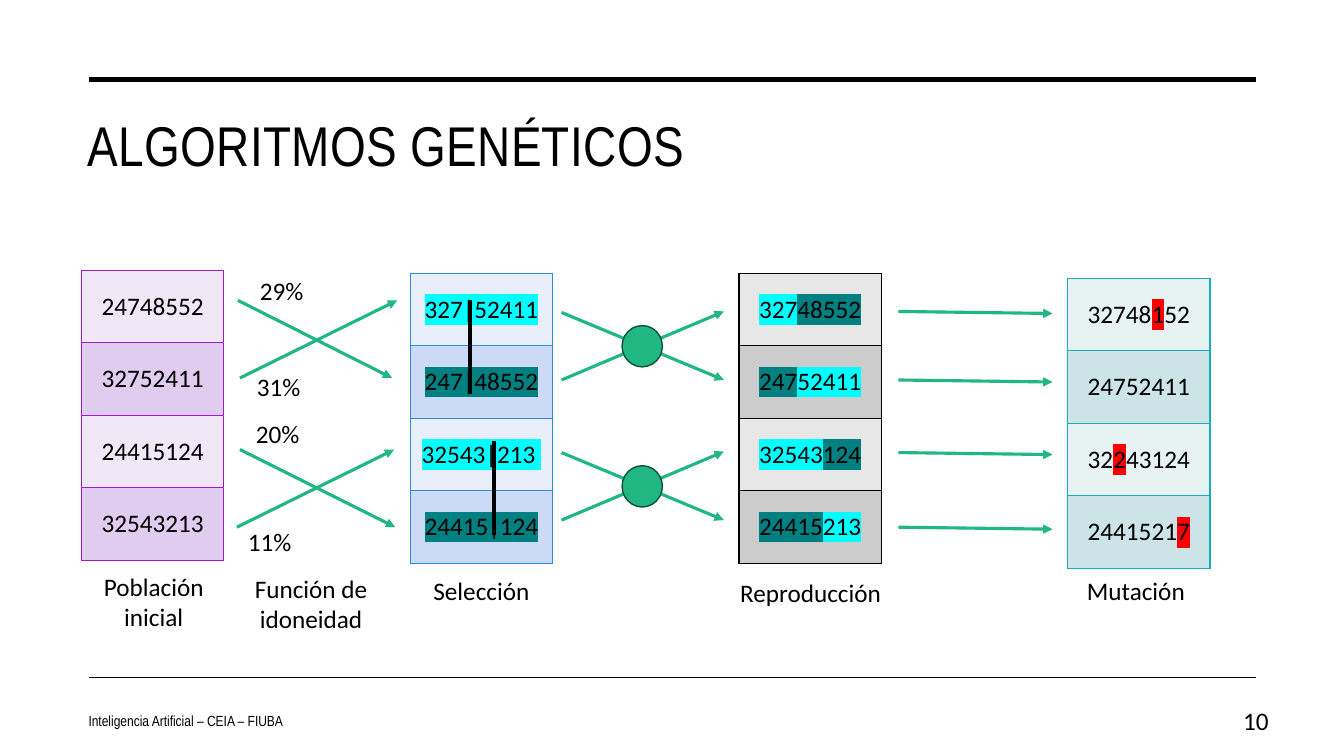
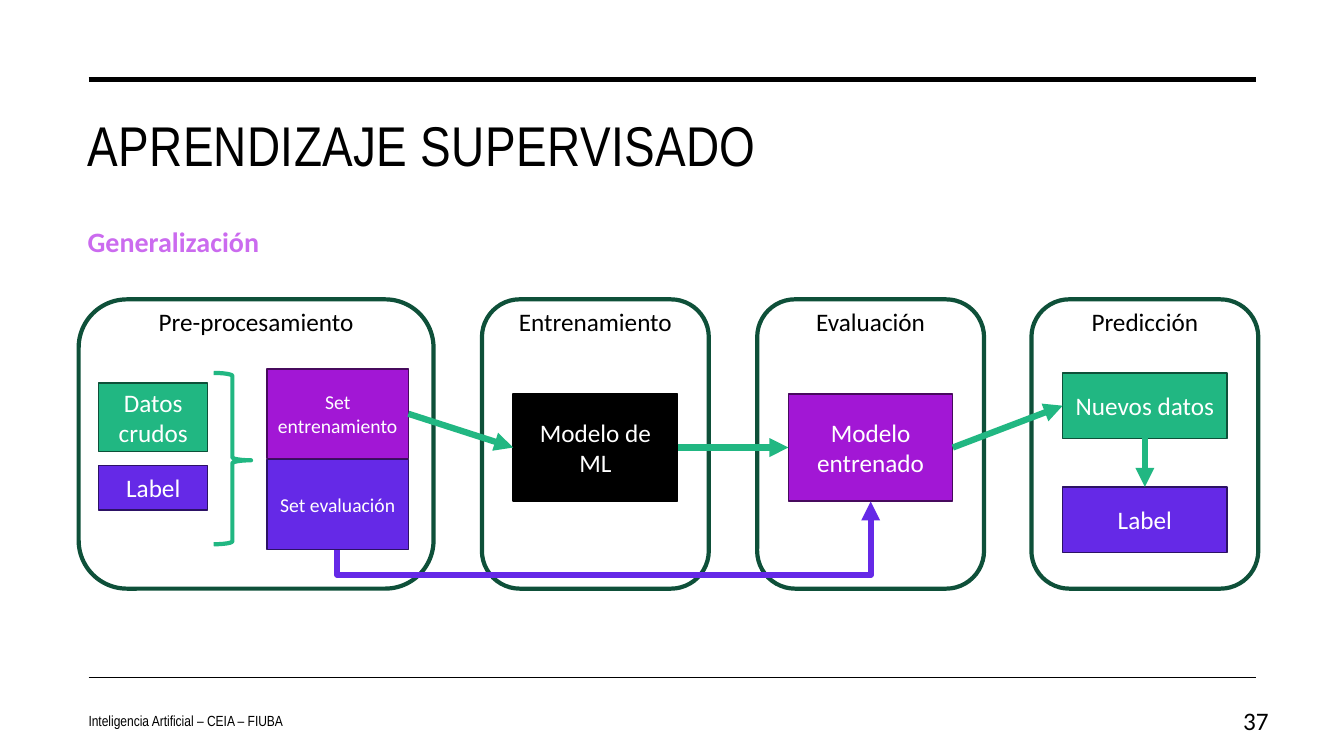
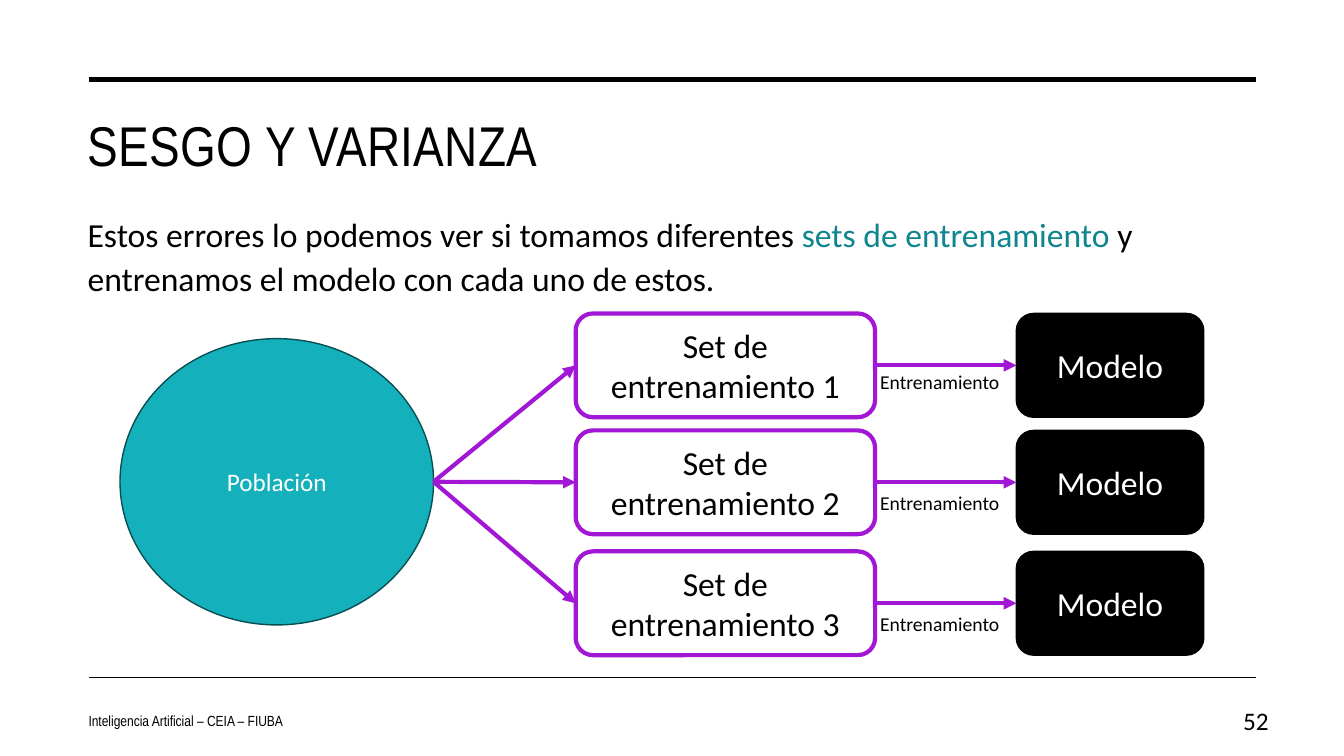
"""Builds three slides on genetic algorithms, supervised learning, and bias and variance."""
from dataclasses import dataclass
from typing import NamedTuple, Optional, Sequence, Union

from pptx import Presentation
from pptx.dml.color import RGBColor
from pptx.enum.shapes import MSO_CONNECTOR, MSO_SHAPE
from pptx.enum.text import MSO_ANCHOR, PP_ALIGN
from pptx.oxml.ns import qn
from pptx.oxml.xmlchemy import OxmlElement
from pptx.util import Inches, Pt

BLACK, WHITE = "000000", "FFFFFF"
GREEN, DARK_GREEN = "21B782", "0E5039"
PURPLE, DARK_PURPLE = "A217D5", "470A5D"
INDIGO, DARK_INDIGO = "6529E7", "2C1265"
TEAL, DARK_TEAL, TEXT_TEAL = "14B1BC", "094E52", "0F858D"
LILAC = "CB6BEF"
CYAN_MARK, TEAL_MARK, RED_MARK = "00FFFF", "008080", "FF0000"
BODY_FONT, TITLE_FONT = "Calibri", "Arial Narrow"
TOP, LEFT, BOTTOM, RIGHT = range(4)


class Run(NamedTuple):
    text: str
    color: Optional[str] = None
    highlight: Optional[str] = None


class Area(NamedTuple):
    left: float
    top: float
    width: float
    height: float


Content = Union[str, Sequence[Run]]


@dataclass
class Box:
    name: str
    area: Area
    text: str
    fill: str
    line: str
    size: float = 18


@dataclass
class Population:
    left: float
    top: float
    border: str
    fills: tuple[str, str]
    rows: Sequence[Sequence[Run]]


def rgb(color: str) -> RGBColor:
    return RGBColor.from_string(color)


def inches(area: Area) -> list:
    return [Inches(value) for value in area]


def mark_run(run, color: str) -> None:
    highlight = OxmlElement("a:highlight")
    value = OxmlElement("a:srgbClr")
    value.set("val", color)
    highlight.append(value)
    run.font._element.find(qn("a:solidFill")).addnext(highlight)


def write(frame, content: Content, *, size: float = 18, color: str = BLACK,
          font: str = BODY_FONT, bold: bool = False, align=PP_ALIGN.LEFT,
          line_spacing: Optional[float] = None, space_after: float = 0,
          tracking: int = 0) -> None:
    lines = [[Run(line)] for line in content.split("\n")] if isinstance(content, str) else [content]
    for index, parts in enumerate(lines):
        paragraph = frame.add_paragraph() if index else frame.paragraphs[0]
        paragraph.alignment = align
        paragraph.space_before = Pt(0)
        paragraph.space_after = Pt(space_after)
        if line_spacing:
            paragraph.line_spacing = line_spacing
        for part in parts:
            run = paragraph.add_run()
            run.text = part.text
            run.font.size = Pt(size)
            run.font.bold = bold
            run.font.color.rgb = rgb(part.color or color)
            run.font.name = font
            if tracking:
                run.font._element.set("spc", str(tracking))
            if part.highlight:
                mark_run(run, part.highlight)


def add_text(slide, area: Area, content: Content, *, anchor=MSO_ANCHOR.TOP,
             wrap: bool = True, margin_top: float = 0.05, **text_format):
    box = slide.shapes.add_textbox(*inches(area))
    frame = box.text_frame
    frame.word_wrap = wrap
    frame.vertical_anchor = anchor
    frame.margin_top = Inches(margin_top)
    write(frame, content, **text_format)
    return box


def add_shape(slide, kind, area: Area, *, line: str, fill: Optional[str] = None,
              weight: float = 1, text: str = "", **text_format):
    shape = slide.shapes.add_shape(kind, *inches(area))
    shape.shadow.inherit = False
    if fill:
        shape.fill.solid()
        shape.fill.fore_color.rgb = rgb(fill)
    else:
        shape.fill.background()
    shape.line.color.rgb = rgb(line)
    shape.line.width = Pt(weight)
    if text:
        frame = shape.text_frame
        frame.word_wrap = True
        frame.vertical_anchor = MSO_ANCHOR.MIDDLE
        write(frame, text, align=PP_ALIGN.CENTER, **text_format)
    return shape


def add_line(slide, start: tuple[float, float], end: tuple[float, float], *,
             color: str = BLACK, weight: float = 1, arrow: bool = False,
             kind=MSO_CONNECTOR.STRAIGHT):
    connector = slide.shapes.add_connector(kind, *(Inches(value) for value in start + end))
    connector.line.color.rgb = rgb(color)
    connector.line.width = Pt(weight)
    if arrow:
        tail = OxmlElement("a:tailEnd")
        tail.set("type", "triangle")
        connector.line._get_or_add_ln().append(tail)
    connector._element.spPr.append(OxmlElement("a:effectLst"))
    return connector


def join(slide, source, source_side: int, target, target_side: int, **line_format) -> None:
    connector = add_line(slide, (0, 0), (1, 1), arrow=True, **line_format)
    connector.begin_connect(source, source_side)
    connector.end_connect(target, target_side)


def add_base_slide(presentation, title: str, number: int):
    slide = presentation.slides.add_slide(presentation.slide_layouts[6])
    for height, weight in ((0.79, 3.5), (6.72, 1)):
        add_line(slide, (0.88, height), (12.46, height), weight=weight)
    add_text(slide, Area(0.77, 1.01, 11.69, 1.5), title, size=40, font=TITLE_FONT,
             tracking=30, margin_top=0.09)
    add_text(slide, Area(0.78, 6.95, 4.96, 0.4), "Inteligencia Artificial – CEIA – FIUBA",
             size=10.5, font=TITLE_FONT, space_after=6, anchor=MSO_ANCHOR.MIDDLE)
    add_text(slide, Area(11.94, 6.95, 0.74, 0.4), str(number),
             align=PP_ALIGN.RIGHT, anchor=MSO_ANCHOR.MIDDLE)
    return slide


def add_cell_borders(cell, color: str) -> None:
    properties = cell._tc.get_or_add_tcPr()
    for side in ("lnL", "lnR", "lnT", "lnB"):
        border = OxmlElement(f"a:{side}")
        border.set("w", str(Pt(1)))
        fill = OxmlElement("a:solidFill")
        value = OxmlElement("a:srgbClr")
        value.set("val", color)
        fill.append(value)
        border.append(fill)
        properties.append(border)


def add_population(slide, population: Population) -> None:
    width, row_height = 1.41, 0.72
    count = len(population.rows)
    area = Area(population.left, population.top, width, row_height * count)
    table = slide.shapes.add_table(count, 1, *inches(area)).table
    table.first_row = False
    table.horz_banding = False
    for index, runs in enumerate(population.rows):
        cell = table.cell(index, 0)
        add_cell_borders(cell, population.border)
        cell.fill.solid()
        cell.fill.fore_color.rgb = rgb(population.fills[index % 2])
        cell.vertical_anchor = MSO_ANCHOR.MIDDLE
        write(cell.text_frame, runs, align=PP_ALIGN.CENTER)


def cyan(text: str) -> Run:
    return Run(text, highlight=CYAN_MARK)


def teal(text: str) -> Run:
    return Run(text, highlight=TEAL_MARK)


def red(text: str) -> Run:
    return Run(text, highlight=RED_MARK)


def build_genetic_algorithms(presentation) -> None:
    slide = add_base_slide(presentation, "ALGORITMOS GENÉTICOS", 10)
    populations = (
        Population(0.81, 2.68, PURPLE, ("F0E8F7", "E0CCEF"),
                   [[Run(genes)] for genes in ("24748552", "32752411", "24415124", "32543213")]),
        Population(4.07, 2.71, "298CE7", ("E8EEFA", "CDDAF6"),
                   [[cyan("327|52411")], [teal("247|48552")],
                    [cyan("32543|213 ")], [teal("24415|124")]]),
        Population(7.33, 2.71, BLACK, ("E7E7E7", "CCCCCC"),
                   [[cyan("327"), teal("48552")], [teal("247"), cyan("52411")],
                    [cyan("32543"), teal("124")], [teal("24415"), cyan("213")]]),
        Population(10.59, 2.76, TEAL, ("E7F2F3", "CCE4E7"),
                   [[Run("32748"), red("1"), Run("52")], [Run("24752411")],
                    [Run("32"), red("2"), Run("43124")], [Run("2441521"), red("7")]]),
    )
    for population in populations:
        add_population(slide, population)

    selection_arrows = (
        ((2.36, 2.98), (3.89, 3.75)), ((2.38, 4.46), (3.92, 5.23)),
        ((2.35, 5.23), (3.91, 4.46)), ((2.38, 3.75), (3.94, 2.98)),
    )
    mutation_arrows = tuple(((8.91, y), (10.44, y + 0.02)) for y in (3.09, 3.77, 4.49, 5.23))
    for start, end in selection_arrows + mutation_arrows:
        add_line(slide, start, end, color=GREEN, weight=2.25, arrow=True)
    for upper in (3.1, 4.49):
        lower = upper + 0.67
        for start, end in ((upper, lower), (lower, upper - 0.01)):
            add_line(slide, (5.57, start), (7.18, end), color=GREEN, weight=2.25, arrow=True)
        add_shape(slide, MSO_SHAPE.OVAL, Area(6.17, upper + 0.13, 0.4, 0.41),
                  fill=GREEN, line=DARK_GREEN)
    for x, y in ((4.66, 2.98), (4.9, 4.38)):
        add_line(slide, (x, y), (x, y + 0.93), weight=3)

    captions = (
        (Area(0.89, 5.62, 1.27, 0.71), "Población\ninicial"),
        (Area(2.38, 5.64, 1.41, 0.71), "Función de\nidoneidad"),
        (Area(4.17, 5.66, 1.21, 0.4), "Selección"),
        (Area(7.19, 5.68, 1.7, 0.4), "Reproducción"),
        (Area(10.64, 5.66, 1.25, 0.4), "Mutación"),
        (Area(2.46, 2.68, 0.67, 0.4), "29%"),
        (Area(2.43, 3.63, 0.67, 0.4), "31%"),
        (Area(2.42, 4.1, 0.67, 0.4), "20%"),
        (Area(2.34, 5.17, 0.67, 0.4), "11%"),
    )
    for area, caption in captions:
        add_text(slide, area, caption, wrap=False, align=PP_ALIGN.CENTER)


def add_evaluation_path(slide) -> None:
    connector = add_line(slide, (5.75, 2.57), (6.23, 7.86), color=INDIGO, weight=4.5,
                         arrow=True, kind=MSO_CONNECTOR.ELBOW)
    properties = connector._element.spPr
    transform = properties.find(qn("a:xfrm"))
    for name, value in (("rot", "5400000"), ("flipH", "1"), ("flipV", "1")):
        transform.set(name, value)
    guide = OxmlElement("a:gd")
    guide.set("name", "adj1")
    guide.set("fmla", "val -51900")
    properties.find(qn("a:prstGeom")).find(qn("a:avLst")).append(guide)


def build_supervised_learning(presentation) -> None:
    slide = add_base_slide(presentation, "APRENDIZAJE SUPERVISADO", 37)
    add_text(slide, Area(0.77, 2.14, 11.91, 0.6), "Generalización", size=20,
             color=LILAC, bold=True, line_spacing=1.1)
    panels = (
        (0.78, 3.52, "Pre-procesamiento"), (4.78, 2.25, "Entrenamiento"),
        (7.51, 2.25, "Evaluación"), (10.23, 2.25, "Predicción"),
    )
    for left, width, stage in panels:
        add_shape(slide, MSO_SHAPE.ROUNDED_RECTANGLE, Area(left, 2.97, width, 2.87),
                  line=DARK_GREEN, weight=3)
        add_text(slide, Area(left, 2.99, width, 0.4), stage, align=PP_ALIGN.CENTER)

    boxes = (
        Box("raw data", Area(0.98, 3.8, 1.08, 0.68), "Datos crudos", GREEN, DARK_GREEN),
        Box("raw label", Area(0.98, 4.62, 1.08, 0.44), "Label", INDIGO, DARK_INDIGO),
        Box("evaluation set", Area(2.65, 4.56, 1.4, 0.89), "Set evaluación",
            INDIGO, DARK_INDIGO, 14),
        Box("training set", Area(2.65, 3.66, 1.4, 0.89), "Set entrenamiento",
            PURPLE, DARK_PURPLE, 14),
        Box("model", Area(5.09, 3.91, 1.63, 1.06), "Modelo de ML", BLACK, BLACK),
        Box("trained model", Area(7.82, 3.91, 1.63, 1.06), "Modelo entrenado",
            PURPLE, DARK_PURPLE),
        Box("new data", Area(10.54, 3.7, 1.63, 0.65), "Nuevos datos", GREEN, DARK_GREEN),
        Box("predicted label", Area(10.54, 4.83, 1.63, 0.65), "Label", INDIGO, DARK_INDIGO),
    )
    shapes = {
        box.name: add_shape(slide, MSO_SHAPE.RECTANGLE, box.area, fill=box.fill, line=box.line,
                            text=box.text, size=box.size, color=WHITE)
        for box in boxes
    }
    brace = add_shape(slide, MSO_SHAPE.RIGHT_BRACE, Area(2.12, 3.7, 0.37, 1.7),
                      line=GREEN, weight=3)
    brace.adjustments[0] = 0.08
    brace.adjustments[1] = 0.51
    links = (
        ("training set", RIGHT, "model", LEFT),
        ("model", RIGHT, "trained model", LEFT),
        ("trained model", RIGHT, "new data", LEFT),
        ("new data", BOTTOM, "predicted label", TOP),
    )
    for source, source_side, target, target_side in links:
        join(slide, shapes[source], source_side, shapes[target], target_side,
             color=GREEN, weight=4.5)
    add_evaluation_path(slide)


def build_bias_and_variance(presentation) -> None:
    slide = add_base_slide(presentation, "SESGO Y VARIANZA", 52)
    add_text(slide, Area(0.77, 2.03, 11.69, 1), [
        Run("Estos errores lo podemos ver si tomamos diferentes "),
        Run("sets de entrenamiento ", TEXT_TEAL),
        Run("y entrenamos el modelo con cada uno de estos."),
    ], size=24, line_spacing=1.1)
    add_shape(slide, MSO_SHAPE.OVAL, Area(1.19, 3.36, 3.11, 2.84), fill=TEAL,
              line=DARK_TEAL, text="Población", color=WHITE)
    for index, top in enumerate((3.11, 4.27, 5.47)):
        training_set = add_shape(slide, MSO_SHAPE.ROUNDED_RECTANGLE, Area(5.71, top, 2.97, 1.03),
                                 fill=WHITE, line=PURPLE, weight=3, size=24,
                                 text=f"Set de entrenamiento {index + 1}")
        model = add_shape(slide, MSO_SHAPE.ROUNDED_RECTANGLE, Area(10.08, top, 1.86, 1.03),
                          fill=BLACK, line=BLACK, text="Modelo", size=24, color=WHITE)
        sample = add_line(slide, (4.3, 4.78), (5.71, top), color=PURPLE, weight=3, arrow=True)
        sample.end_connect(training_set, LEFT)
        join(slide, training_set, RIGHT, model, LEFT, color=PURPLE, weight=3)
        add_text(slide, Area(8.63, 3.62 + 1.2 * index, 1.45, 0.34), "Entrenamiento",
                 size=14, wrap=False)


def main() -> None:
    presentation = Presentation()
    presentation.slide_width = Inches(13.33)
    presentation.slide_height = Inches(7.5)
    build_genetic_algorithms(presentation)
    build_supervised_learning(presentation)
    build_bias_and_variance(presentation)
    presentation.save("out.pptx")


if __name__ == "__main__":
    main()
